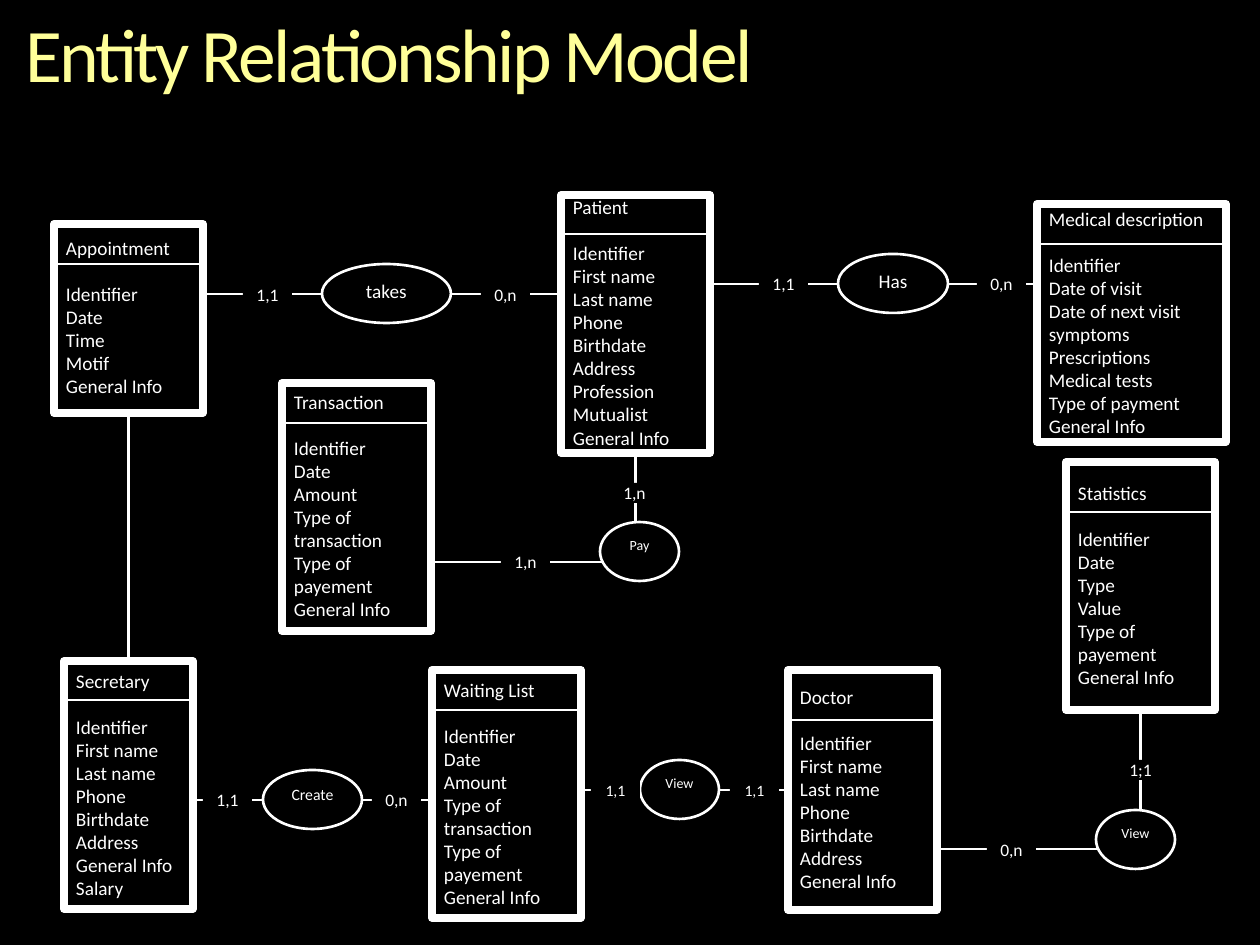
from pptx import Presentation
from pptx import util as u
from pptx.dml.color import RGBColor
from pptx.enum import shapes, text
from pptx.oxml.ns import qn
from lxml import etree

PX = 914400 // 126
WHITE, BLACK, YELLOW = "FFFFFF", "000000", "FFFF99"
SHAPE, CONN = shapes.MSO_SHAPE, shapes.MSO_CONNECTOR
LINE_H, GAP = 12, 13  # half a text line in px, space below the entity name in pt

prs = Presentation()
prs.slide_width, prs.slide_height = u.Inches(10), u.Inches(7.5)
s = prs.slides.add_slide(prs.slide_layouts[5])
s.background.fill.solid()
s.background.fill.fore_color.rgb = RGBColor.from_string(BLACK)


def add_box(kind, x, y, w, h, lines, size, fill=None, width=None, align=text.PP_ALIGN.CENTER):
    sp = s.shapes.add_shape(kind, x * PX, y * PX, w * PX, h * PX)
    sp.shadow.inherit = False
    if fill:
        sp.fill.solid()
        sp.fill.fore_color.rgb = RGBColor.from_string(fill)
    else:
        sp.fill.background()
    if width:
        sp.line.color.rgb = RGBColor.from_string(WHITE)
        sp.line.width = u.Pt(width)
    else:
        sp.line.fill.background()
    tf = sp.text_frame
    tf.word_wrap = True
    tf.margin_left = tf.margin_right = 0
    tf.vertical_anchor = text.MSO_ANCHOR.TOP
    for i, line in enumerate(lines):
        p = tf.paragraphs[0] if i == 0 else tf.add_paragraph()
        p.alignment = align
        r = p.add_run()
        r.text = line
        r.font.name, r.font.size = "Calibri", u.Pt(size)
        r.font.color.rgb = RGBColor.from_string(WHITE)
    return sp


def add_line(x1, y1, x2, y2, width=1.5, kind=CONN.STRAIGHT):
    c = s.shapes.add_connector(kind, x1 * PX, y1 * PX, x2 * PX, y2 * PX)
    c.line.color.rgb = RGBColor.from_string(WHITE)
    c.line.width = u.Pt(width)
    etree.SubElement(c._element.spPr, qn("a:effectLst"))
    return c


# Title
title = s.shapes.title
title.left, title.top, title.width, title.height = 25 * PX, 17 * PX, 1155 * PX, 92 * PX
tf = title.text_frame
tf.margin_left = tf.margin_right = tf.margin_top = tf.margin_bottom = 0
tf.vertical_anchor = text.MSO_ANCHOR.TOP
p = tf.paragraphs[0]
p.alignment, p.line_spacing = text.PP_ALIGN.LEFT, 0.9
r = p.add_run()
r.text = "Entity Relationship Model"
r.font.name, r.font.size = "Calibri", u.Pt(43.2)
r.font.color.rgb = RGBColor.from_string(YELLOW)
r._r.get_or_add_rPr().set("spc", "-150")

# Entities: x, y, w, h, divider y, middle of the name's line, name, attributes
person = ["Identifier", "First name", "Last name", "Phone", "Birthdate", "Address"]
payment = ["Identifier", "Date", "Amount", "Type of transaction", "Type of payement", "General Info"]
entities = [
    (561, 195, 149, 258, 234, 207, "Patient", person + ["Profession", "Mutualist", "General Info"]),
    (64, 661, 129, 248, 700, 681, "Secretary", person + ["General Info", "Salary"]),
    (282, 383, 149, 248, 423, 402, "Transaction", payment),
    (1037, 204, 189, 238, 244, 219, "Medical description",
     ["Identifier", "Date of visit", "Date of next visit", "symptoms", "Prescriptions",
      "Medical tests", "Type of payment", "General Info"]),
    (54, 224, 149, 189, 264, 248, "Appointment",
     ["Identifier", "Date", "Time", "Motif", "General Info"]),
    (432, 670, 149, 248, 710, 690, "Waiting List", payment),
    (1066, 462, 149, 248, 512, 493, "Statistics",
     ["Identifier", "Date", "Type", "Value", "Type of payement", "General Info"]),
    (788, 670, 149, 240, 720, 697, "Doctor", person + ["General Info"]),
]
boxes = {}
for x, y, w, h, divider, name_y, name, attributes in entities:
    sp = add_box(SHAPE.RECTANGLE, x, y, w, h, [name] + attributes, 11,
                 width=4.33, align=text.PP_ALIGN.LEFT)
    tf = sp.text_frame
    tf.margin_left = tf.margin_right = 12 * PX
    tf.margin_top, tf.margin_bottom = (name_y - LINE_H - y) * PX, 0
    tf.paragraphs[1].space_before = u.Pt(GAP)
    add_line(x, divider, x + w, divider)
    boxes[name] = sp

# Straight links
add_line(203, 294, 561, 294, 0.75)
add_line(710, 284, 1037, 284)
add_line(193, 800, 432, 800)
c = add_line(581, 790, 788, 790)
c.end_connect(boxes["Doctor"], 1)
c = add_line(128, 413, 128, 661, 2.25)
c.begin_connect(boxes["Appointment"], 2)
c.end_connect(boxes["Secretary"], 0)

# Elbow links with a single bend
for x1, y1, x2, y2, target in [(431, 562, 635, 453, "Patient"), (937, 849, 1141, 710, "Statistics")]:
    c = add_line(x1, y1, x2, y2, kind=CONN.ELBOW)
    c._element.spPr.find(qn("a:prstGeom")).set("prst", "bentConnector2")
    c.end_connect(boxes[target], 2)

# Relationships
for x, y, w, name, size in [
    (322, 264, 129, "takes", 11), (838, 254, 110, "Has", 11), (263, 770, 99, "Create", 9),
    (640, 760, 79, "View", 8), (1096, 810, 79, "View", 8), (600, 522, 79, "Pay", 8),
]:
    add_box(SHAPE.OVAL, x, y, w, 59, [name], size, BLACK, 1.5)

# Cardinalities
for x, y, label, size in [
    (481, 284, "0,n", 10), (243, 284, "1,1", 10), (372, 790, "0,n", 10), (203, 790, "1,1", 10),
    (591, 780, "1,1", 9), (730, 780, "1,1", 9), (987, 840, "0,n", 10), (1116, 760, "1;1", 10),
    (501, 552, "1,n", 10), (610, 483, "1,n", 10), (977, 274, "0,n", 10), (759, 274, "1,1", 10),
]:
    sp = add_box(SHAPE.RECTANGLE, x, y, 49, 20, [label], size, BLACK)
    sp.text_frame.margin_top = sp.text_frame.margin_bottom = 0
    sp.text_frame.vertical_anchor = text.MSO_ANCHOR.MIDDLE

prs.save("out.pptx")
